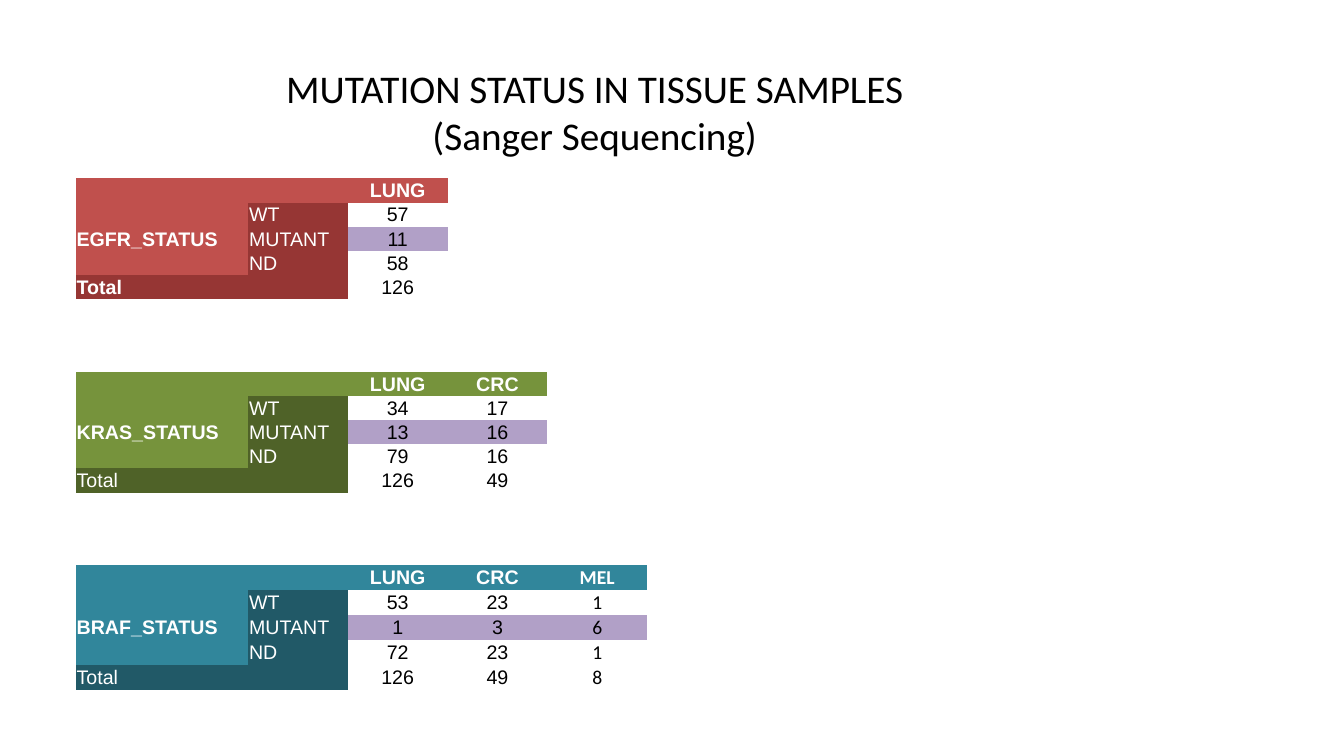
from lxml.etree import SubElement
from pptx import Presentation
from pptx.dml.color import RGBColor
from pptx.enum.text import MSO_ANCHOR, MSO_AUTO_SIZE, PP_ALIGN
from pptx.oxml.ns import qn
from pptx.util import Inches, Pt

COLORS = {
    "white": "FFFFFF", "black": "000000", "mutant": "B1A0C7",
    "EGFR": ("C0504D", "963634"),
    "KRAS": ("76933C", "4F6228"),
    "BRAF": ("31869B", "215967"),
}
TISSUES = ["LUNG", "CRC", "MEL"]
LABELS = ["WT", "MUTANT", "ND", "Total"]
COUNTS = {
    "EGFR": [[57], [11], [58], [126]],
    "KRAS": [[34, 17], [13, 16], [79, 16], [126, 49]],
    "BRAF": [[53, 23, 1], [1, 3, 6], [72, 23, 1], [126, 49, 8]],
}
NO_GRID = "{2D5ABB26-0587-4C30-8999-92F81FD0307C}"
WIDTHS = [1.71] + [0.99] * 4
ROW, STEP, ROWS = 0.24, 8, 21


def write(para, text, size, font, color, bold=False):
    run = para.add_run()
    run.text = text
    run.font.size = Pt(size)
    run.font.name = font
    run.font.bold = bold
    run.font.color.rgb = RGBColor.from_string(color)


def paint(cell, fill, text="", color="white", bold=False, center=False, font="Arial"):
    cell.fill.solid()
    cell.fill.fore_color.rgb = RGBColor.from_string(fill)
    if text:
        para = cell.text_frame.paragraphs[0]
        para.alignment = PP_ALIGN.CENTER if center else PP_ALIGN.LEFT
        write(para, text, 14, font, COLORS[color], bold)


prs = Presentation()
prs.slide_width, prs.slide_height = Inches(13.33), Inches(7.5)
slide = prs.slides.add_slide(prs.slide_layouts[6])

# Status table: one block of five rows per gene, three rows between blocks
frame = slide.shapes.add_table(ROWS, len(WIDTHS), Inches(0.75), Inches(1.77),
                               Inches(sum(WIDTHS)), Inches(ROW * ROWS))
table = frame.table
table.first_row = table.horz_banding = False
table._tbl.tblPr.find(qn("a:tableStyleId")).text = NO_GRID
for col, width in zip(table.columns, WIDTHS):
    col.width = Inches(width)
for row in table.rows:
    row.height = Inches(ROW)

for cell in table.iter_cells():
    cell.margin_left = cell.margin_right = cell.margin_top = Inches(0.01)
    cell.margin_bottom = 0
    cell.vertical_anchor = MSO_ANCHOR.MIDDLE
    cell.fill.background()

for block, (gene, counts) in enumerate(COUNTS.items()):
    top = block * STEP
    light, dark = COLORS[gene]
    for col in range(2):
        paint(table.cell(top, col), light)
    for col, tissue in enumerate(TISSUES[:len(counts[0])]):
        font = "Calibri" if tissue == "MEL" else "Arial"
        paint(table.cell(top, col + 2), light, tissue, bold=True, center=True, font=font)
        for line, values in enumerate(counts, 1):
            fill = COLORS["mutant" if LABELS[line - 1] == "MUTANT" else "white"]
            paint(table.cell(top + line, col + 2), fill, str(values[col]),
                  "black", center=True, font=font)

    status = table.cell(top + 1, 0)
    status.merge(table.cell(top + 3, 0))
    paint(status, light, f"{gene}_STATUS", bold=True)
    for line, label in enumerate(LABELS, 1):
        cell = table.cell(top + line, 0 if label == "Total" else 1)
        if label == "Total":
            cell.merge(table.cell(top + line, 1))
        paint(cell, dark, label, bold=label == "Total" and gene == "EGFR")
    if top + 6 < ROWS:
        table.cell(top + 6, 0).merge(table.cell(top + 6, 2))

# Empty cells keep the text size, so that every row has the same height
for cell in table.iter_cells():
    if not cell.text_frame.text:
        end = SubElement(cell.text_frame.paragraphs[0]._p, qn("a:endParaRPr"), sz="1400")
        SubElement(end, qn("a:latin"), typeface="Arial")

# Title
box = slide.shapes.add_textbox(Inches(2.74), Inches(0.59), Inches(6.39), Inches(1.04))
title = box.text_frame
title.word_wrap = False
title.auto_size = MSO_AUTO_SIZE.SHAPE_TO_FIT_TEXT
first, second = title.paragraphs[0], title.add_paragraph()
write(first, "MUTATION STATUS IN TISSUE SAMPLES", 28, "Calibri", COLORS["black"])
write(second, "(Sanger Sequencing)", 28, "Calibri", COLORS["black"])
second.alignment = PP_ALIGN.CENTER

prs.save("out.pptx")
